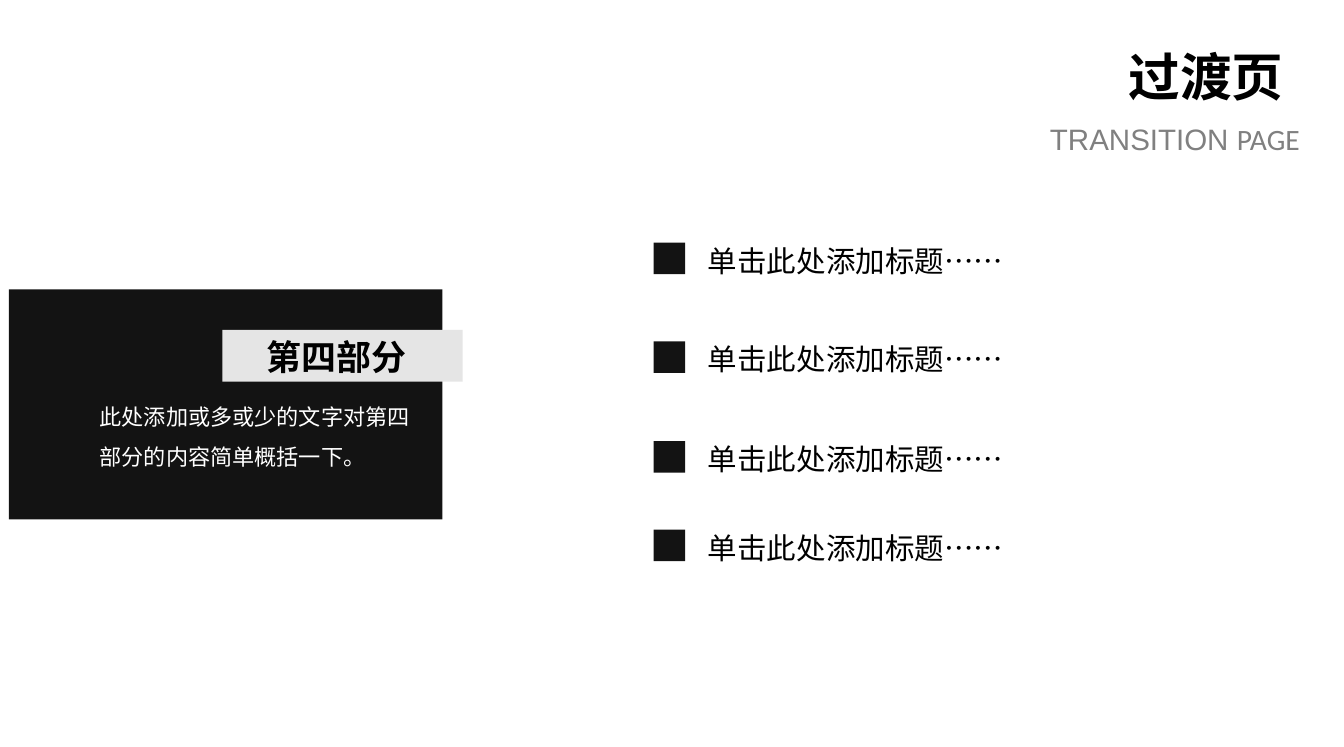
import pptx
import pptx.dml.color
import pptx.enum.shapes
import pptx.enum.text
import pptx.oxml.ns
import pptx.util
from lxml import etree

Inches = pptx.util.Inches
RGBColor = pptx.dml.color.RGBColor
PP_ALIGN = pptx.enum.text.PP_ALIGN

INK = RGBColor(0x13, 0x13, 0x13)
BLACK = RGBColor(0x00, 0x00, 0x00)
WHITE = RGBColor(0xFF, 0xFF, 0xFF)
GREY = RGBColor(0x80, 0x80, 0x80)
SILVER = RGBColor(0xE5, 0xE5, 0xE5)
CJK_FONT = "Noto Sans CJK SC"


def add_text(shapes, box, runs, size, color=BLACK, bold=False,
             align=PP_ALIGN.LEFT, spacing=None, inset=(0.1, 0.05), right=None):
    """Add a one-paragraph text box from (text, font) runs."""
    label = shapes.add_textbox(*map(Inches, box))
    frame = label.text_frame
    frame.word_wrap = True
    frame.auto_size = pptx.enum.text.MSO_AUTO_SIZE.SHAPE_TO_FIT_TEXT
    frame.margin_left = Inches(inset[0])
    frame.margin_right = Inches(inset[0] if right is None else right)
    frame.margin_top = frame.margin_bottom = Inches(inset[1])
    paragraph = frame.paragraphs[0]
    paragraph.alignment = align
    if spacing:
        paragraph.line_spacing = spacing
    for text, font in runs:
        run = paragraph.add_run()
        run.text = text
        run.font.name = font
        run.font.size = pptx.util.Pt(size)
        run.font.bold = bold
        run.font.color.rgb = color
        east_asian = etree.SubElement(run.font._element, pptx.oxml.ns.qn("a:ea"))
        east_asian.set("typeface", font)


def add_block(shapes, box, color):
    """Add a plain filled rectangle."""
    block = shapes.add_shape(pptx.enum.shapes.MSO_SHAPE.RECTANGLE, *map(Inches, box))
    block.shadow.inherit = False
    block.fill.solid()
    block.fill.fore_color.rgb = color
    block.line.fill.background()


def add_heading(slide, left, top, width):
    """Place the right-aligned title and its English subtitle."""
    add_text(slide.shapes, (left, top, width, 0.69), [("过渡页", CJK_FONT)],
             29.4, bold=True, align=PP_ALIGN.RIGHT, right=0.28)
    add_text(slide.shapes, (left, top + 0.6, width, 0.37),
             [("TRANSITION ", "Arial"), ("PAGE", "Calibri")],
             16.8, color=GREY, align=PP_ALIGN.RIGHT, right=0.15)


def add_section_card(slide, left, top, width, height):
    """Place the dark card with its summary and section tag."""
    card = slide.shapes.add_group_shape().shapes
    add_block(card, (left, top, width, height), INK)
    add_text(card, (left + 0.62, top + 0.75, 2.73, 0.74),
             [("此处添加或多或少的文字对第四部分的内容简单概括一下。", CJK_FONT)],
             12.6, color=WHITE, spacing=1.5)
    tag = slide.shapes.add_group_shape().shapes
    add_block(tag, (left + 1.69, top + 0.32, 1.9, 0.41), SILVER)
    add_text(tag, (left + 1.94, top + 0.32, 1.41, 0.44),
             [("第四部分", CJK_FONT)], 19.9, bold=True)


def add_topics(slide, left, tops, width):
    """Place one square marker and topic line at each top."""
    for top in tops:
        add_block(slide.shapes, (left, top, 0.25, 0.25), INK)
        add_text(slide.shapes, (left + 0.34, top - 0.04, width - 0.34, 0.37),
                 [("单击此处添加标题……", CJK_FONT)], 16.8, inset=(0.09, 0.04))


def main():
    """Build and save the transition slide."""
    deck = pptx.Presentation()
    deck.slide_width = Inches(10.63)
    deck.slide_height = Inches(5.91)
    slide = deck.slides.add_slide(deck.slide_layouts[6])
    add_heading(slide, 8.13, 0.31, 2.3)
    add_section_card(slide, 0.07, 2.29, 3.43, 1.82)
    add_topics(slide, 5.17, (1.92, 2.7, 3.49, 4.19), 3.38)
    deck.save("out.pptx")


if __name__ == "__main__":
    main()
